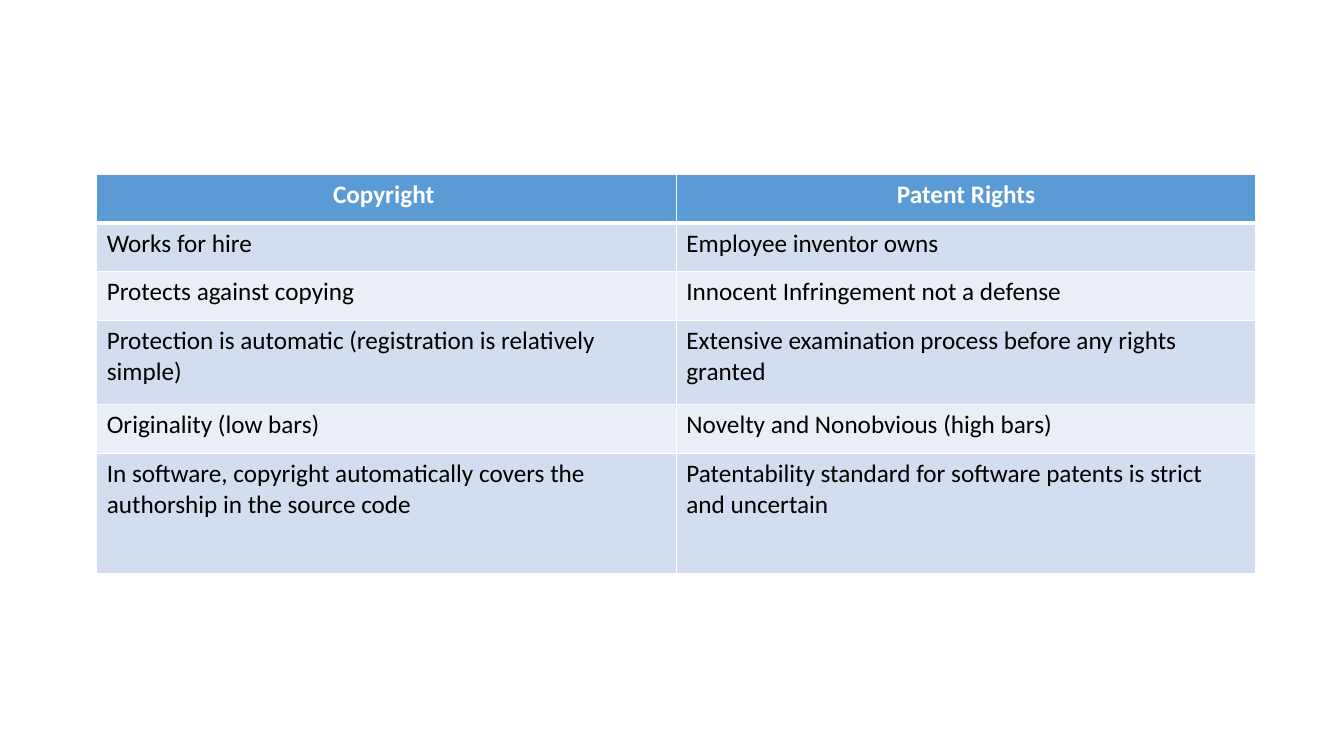
"""Build a slide with a table that compares copyright and patent rights."""
from dataclasses import dataclass

from lxml import etree
from pptx import Presentation
from pptx import util as u
from pptx.dml import color
from pptx.enum import text
from pptx.oxml import ns
from pptx.slide import Slide
from pptx.table import _Cell

COLORS = {
    "header": "5B9BD5",
    "dark band": "D2DEEF",
    "light band": "EAEFF7",
    "border": "FFFFFF",
    "header text": "FFFFFF",
    "body text": "000000",
}
LEFT, TOP, COLUMN_WIDTH = 69.1, 124.6, 414
FONT_NAME, FONT_SIZE = "Calibri", 18
THIN_LINE, THICK_LINE = 1, 3


@dataclass
class ComparisonRow:
    """One row of the comparison, with its height in points."""

    copyright: str
    patent: str
    height: float = 34.8


ROWS = [
    ComparisonRow("Copyright ", "Patent Rights"),
    ComparisonRow("Works for hire", "Employee inventor owns"),
    ComparisonRow("Protects against copying", "Innocent Infringement not a defense"),
    ComparisonRow(
        "Protection is automatic (registration is relatively simple)",
        "Extensive examination process before any rights granted",
        60,
    ),
    ComparisonRow("Originality (low bars)", "Novelty and Nonobvious (high bars)"),
    ComparisonRow(
        "In software, copyright automatically covers the authorship in the source code",
        "Patentability standard for software patents is strict and uncertain",
        85.9,
    ),
]


def add_borders(cell: _Cell, row_index: int) -> None:
    """Outline a cell, with a thick line below the header row."""
    widths = {
        "lnL": THIN_LINE,
        "lnR": THIN_LINE,
        "lnT": THICK_LINE if row_index == 1 else THIN_LINE,
        "lnB": THICK_LINE if row_index == 0 else THIN_LINE,
    }
    properties = cell._tc.get_or_add_tcPr()
    for side, width in widths.items():
        line = etree.SubElement(properties, ns.qn(f"a:{side}"), w=str(u.Pt(width)))
        fill = etree.SubElement(line, ns.qn("a:solidFill"))
        etree.SubElement(fill, ns.qn("a:srgbClr"), val=COLORS["border"])


def fill_cell(cell: _Cell, wording: str, row_index: int) -> None:
    """Write and format one cell according to its row."""
    is_header = row_index == 0
    band = "header" if is_header else "dark band" if row_index % 2 else "light band"
    add_borders(cell, row_index)
    cell.fill.solid()
    cell.fill.fore_color.rgb = color.RGBColor.from_string(COLORS[band])
    paragraph = cell.text_frame.paragraphs[0]
    paragraph.alignment = text.PP_ALIGN.CENTER if is_header else text.PP_ALIGN.LEFT
    run = paragraph.add_run()
    run.text = wording
    run.font.name = FONT_NAME
    run.font.size = u.Pt(FONT_SIZE)
    run.font.bold = is_header
    text_color = COLORS["header text" if is_header else "body text"]
    run.font.color.rgb = color.RGBColor.from_string(text_color)


def add_comparison(slide: Slide, rows: list[ComparisonRow]) -> None:
    """Draw the two-column comparison table."""
    height = sum(row.height for row in rows)
    table = slide.shapes.add_table(
        len(rows), 2, u.Pt(LEFT), u.Pt(TOP), u.Pt(2 * COLUMN_WIDTH), u.Pt(height)
    ).table
    for row_index, row in enumerate(rows):
        table.rows[row_index].height = u.Pt(row.height)
        for column_index, wording in enumerate((row.copyright, row.patent)):
            fill_cell(table.cell(row_index, column_index), wording, row_index)


def main() -> None:
    """Create and save the presentation."""
    presentation = Presentation()
    presentation.slide_width = u.Pt(960)
    presentation.slide_height = u.Pt(540)
    slide = presentation.slides.add_slide(presentation.slide_layouts[6])
    add_comparison(slide, ROWS)
    presentation.save("out.pptx")


if __name__ == "__main__":
    main()
